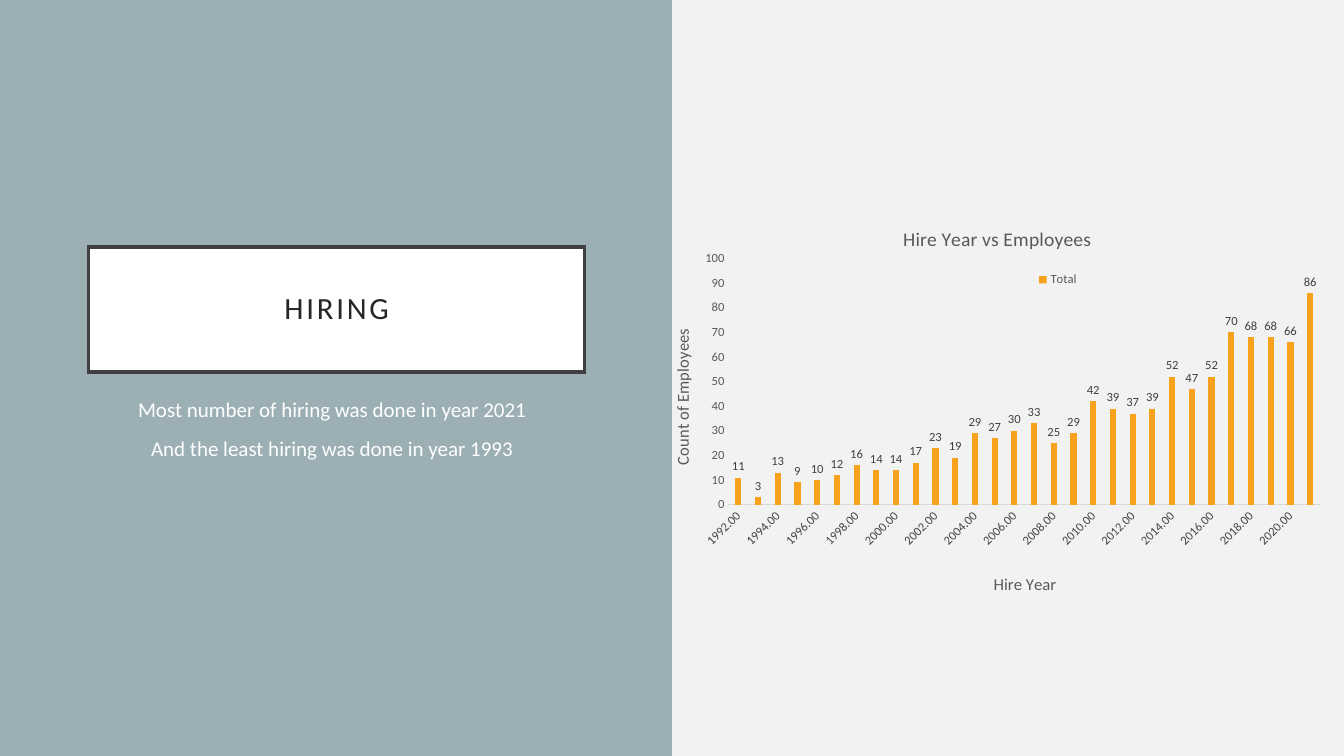
from lxml import etree
from pptx import Presentation
from pptx.chart.data import CategoryChartData
from pptx.dml.color import RGBColor
from pptx.enum.chart import XL_CHART_TYPE, XL_LABEL_POSITION, XL_LEGEND_POSITION, XL_TICK_MARK
from pptx.enum.shapes import MSO_SHAPE
from pptx.enum.text import MSO_ANCHOR, MSO_AUTO_SIZE, PP_ALIGN
from pptx.oxml.ns import qn
from pptx.util import Pt

RECT = MSO_SHAPE.RECTANGLE
MIDDLE = MSO_ANCHOR.MIDDLE
CENTER = PP_ALIGN.CENTER
NO_FIT = MSO_AUTO_SIZE.NONE
COLUMNS = XL_CHART_TYPE.COLUMN_CLUSTERED
OUTSIDE = XL_LABEL_POSITION.OUTSIDE_END
RIGHT = XL_LEGEND_POSITION.RIGHT
NO_TICK = XL_TICK_MARK.NONE

FONT = "Calibri"
GREY = "595959"
WIDTH, HEIGHT = 960, 540
START = 1992
HIRES = [11, 3, 13, 9, 10, 12, 16, 14, 14, 17, 23, 19, 29, 27, 30,
         33, 25, 29, 42, 39, 37, 39, 52, 47, 52, 70, 68, 68, 66, 86]
NOTES = ["Most number of hiring was done in year 2021",
         "And the least hiring was done in year 1993"]


def color(code):
    return RGBColor.from_string(code)


def style(font, size, code):
    font.name = FONT
    font.size = Pt(size)
    font.bold = False
    font.color.rgb = color(code)


def write(frame, lines, size, code, align=None, before=None, spacing=None):
    """Fill a text frame with one paragraph for each line."""
    for i, line in enumerate(lines):
        para = frame.add_paragraph() if i else frame.paragraphs[0]
        para.alignment = align
        if before is not None:
            para.space_before = Pt(before)
        para.line_spacing = spacing
        run = para.add_run()
        run.text = line
        style(run.font, size, code)


def place(shape, box):
    shape.left, shape.top, shape.width, shape.height = map(Pt, box)


def add_panel(slide, box):
    left, top, width, height = box
    panel = slide.shapes.add_shape(RECT, *map(Pt, box))
    panel.shadow.inherit = False
    panel.fill.solid()
    panel.fill.fore_color.rgb = color("9BAFB5")
    panel.line.fill.background()

    title = slide.shapes.title
    slide.shapes.element.append(title.element)  # raise above the panel
    place(title, (left + 63.36, top + 176.4, 354.24, 89.28))
    title.fill.solid()
    title.fill.fore_color.rgb = color("FFFFFF")
    title.line.color.rgb = color("404040")
    title.line.width = Pt(2.5)
    for line in title.element.xpath("./p:spPr/a:ln"):
        etree.SubElement(line, qn("a:miter"), lim="800000")
    frame = title.text_frame
    frame.word_wrap = True
    frame.auto_size = NO_FIT
    frame.vertical_anchor = MIDDLE
    frame.margin_left = frame.margin_right = Pt(14.4)
    frame.margin_top = frame.margin_bottom = Pt(14.4)
    write(frame, ["HIRING"], 22, "262626", align=CENTER, spacing=0.9)
    for props in title.element.xpath(".//a:rPr"):
        props.set("spc", "200")

    body = slide.shapes.add_textbox(
        Pt(left + 87.84), Pt(top + 279.36), Pt(298.8), Pt(172.8))
    body.text_frame.word_wrap = True
    write(body.text_frame, NOTES, 15, "FFFFFF", align=CENTER, before=10)


def set_layout(part, after=None, inner=False, **sizes):
    """Fix the place of a chart part, in fractions of the chart."""
    for old in part.findall(qn("c:layout")):
        part.remove(old)
    layout = etree.Element(qn("c:layout"))
    manual = etree.SubElement(layout, qn("c:manualLayout"))
    if inner:
        etree.SubElement(manual, qn("c:layoutTarget"), val="inner")
    for mode in ("xMode", "yMode"):
        etree.SubElement(manual, qn("c:" + mode), val="edge")
    for name, size in sizes.items():
        etree.SubElement(manual, qn("c:" + name), val=str(size))
    if after is None:
        part.insert(0, layout)
    else:
        part.find(qn(after)).addnext(layout)


def format_axis(axis, text):
    axis.has_major_gridlines = False
    axis.major_tick_mark = axis.minor_tick_mark = NO_TICK
    style(axis.tick_labels.font, 9, GREY)
    write(axis.axis_title.text_frame, [text], 12, GREY)


def arrange(root):
    """Turn the axis texts and place the parts of the chart."""
    for frame in root.xpath(".//c:catAx/c:txPr/a:bodyPr"):
        frame.set("rot", "-2700000")
    for frame in root.xpath(".//c:valAx/c:title//a:bodyPr"):
        frame.set("rot", "-5400000")
        frame.set("vert", "horz")
    area = root.xpath(".//c:plotArea")[0]
    set_layout(area, inner=True, x=0.1, y=0.13, w=0.88, h=0.64)
    legend = root.xpath(".//c:legend")[0]
    set_layout(legend, "c:legendPos", x=0.55, y=0.15, w=0.08, h=0.07)
    years = root.xpath(".//c:catAx/c:title")[0]
    set_layout(years, "c:tx", x=0.49, y=0.94)
    counts = root.xpath(".//c:valAx/c:title")[0]
    set_layout(counts, "c:tx", x=0.01, y=0.31)


def add_hires(slide, box):
    data = CategoryChartData()
    data.categories = [f"{START + i}.00" for i in range(len(HIRES))]
    data.add_series("Total", HIRES)
    chart = slide.shapes.add_chart(COLUMNS, *map(Pt, box), data).chart
    style(chart.font, 10, "000000")
    write(chart.chart_title.text_frame, ["Hire Year vs Employees"], 14, GREY)
    chart.chart_title.include_in_layout = False

    plot = chart.plots[0]
    plot.gap_width = 219
    plot.overlap = -27
    plot.vary_by_categories = False
    bars = plot.series[0]
    bars.format.fill.solid()
    bars.format.fill.fore_color.rgb = color("F6A21D")
    labels = bars.data_labels
    labels.show_value = True
    labels.position = OUTSIDE
    style(labels.font, 9, "404040")

    years, counts = chart.category_axis, chart.value_axis
    format_axis(years, "Hire Year")
    years.format.line.color.rgb = color("D9D9D9")
    years.format.line.width = Pt(0.75)
    format_axis(counts, "Count of Employees")
    counts.format.line.fill.background()
    counts.minimum_scale, counts.maximum_scale = 0, 100
    counts.major_unit = 10

    chart.has_legend = True
    chart.legend.position = RIGHT
    chart.legend.include_in_layout = False
    style(chart.legend.font, 9, GREY)
    arrange(chart.element)


def main():
    deck = Presentation()
    deck.slide_width, deck.slide_height = Pt(WIDTH), Pt(HEIGHT)
    slide = deck.slides.add_slide(deck.slide_layouts[5])
    slide.background.fill.solid()
    slide.background.fill.fore_color.rgb = color("F2F2F2")
    add_panel(slide, (0, 0, WIDTH / 2, HEIGHT))
    add_hires(slide, (472.32, 149.04, 480.24, 279.36))
    deck.save("out.pptx")


if __name__ == "__main__":
    main()
